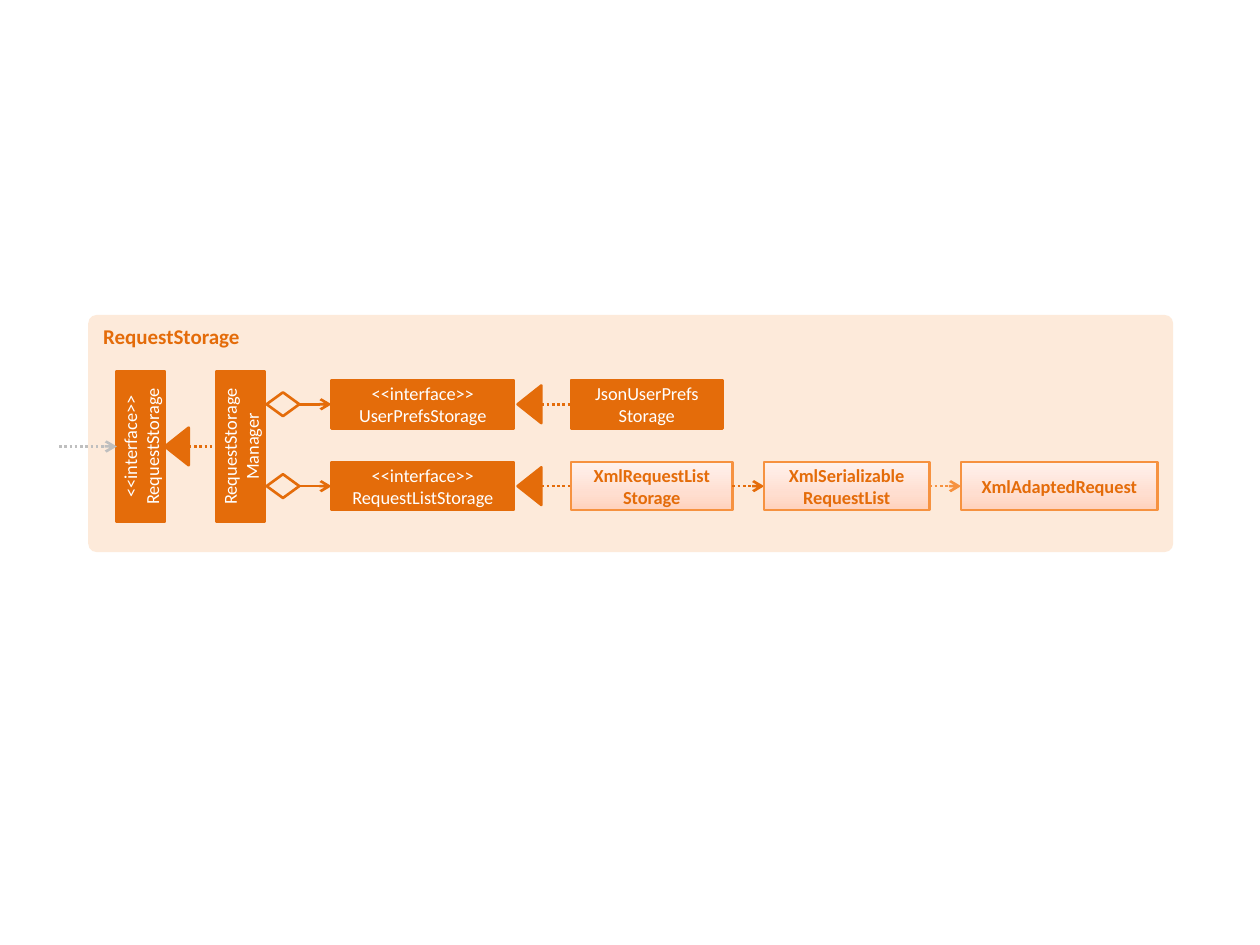
import copy
from dataclasses import dataclass

import pptx
import pptx.dml.color
import pptx.enum.dml
import pptx.enum.shapes
import pptx.enum.text
import pptx.oxml.ns
import pptx.util
from lxml import etree

Cm, Pt = pptx.util.Cm, pptx.util.Pt
Shape = pptx.enum.shapes.MSO_SHAPE
qn = pptx.oxml.ns.qn


@dataclass(frozen=True)
class Theme:
    font: str = "Calibri"
    title_size: float = 12
    label_size: float = 10.5
    line_width: float = 1.5
    panel: str = "FDEADA"
    orange: str = "E46C0A"
    light_orange: str = "F69240"
    grey: str = "BFBFBF"
    white: str = "FFFFFF"
    gradient: tuple = ((0, "FFD2BD"), (0.35, "FFDED0"), (1, "FFF2ED"))


THEME = Theme()
NODE_HEIGHT = 0.97
BAR_LENGTH = 3.05
DIAMOND_WIDTH, DIAMOND_HEIGHT = 0.66, 0.48
HEAD_BASE, HEAD_DEPTH = 0.76, 0.48
NODE_GAP = 0.64


def rgb(colour):
    return pptx.dml.color.RGBColor.from_string(colour)


def add_shape(page, kind, left, top, width, height, fill=None, line=None):
    shape = page.shapes.add_shape(kind, Cm(left), Cm(top), Cm(width), Cm(height))
    shape.shadow.inherit = False
    if fill:
        shape.fill.solid()
        shape.fill.fore_color.rgb = rgb(fill)
    else:
        shape.fill.background()
    if line:
        shape.line.color.rgb = rgb(line)
        shape.line.width = Pt(THEME.line_width)
    else:
        shape.line.fill.background()
    return shape


def write(shape, text, size, colour, bold=False, centred=True):
    """Fill a shape with text; \\v breaks a line and \\n starts a paragraph."""
    frame = shape.text_frame
    frame.word_wrap = True
    anchors, aligns = pptx.enum.text.MSO_ANCHOR, pptx.enum.text.PP_ALIGN
    frame.vertical_anchor = anchors.MIDDLE if centred else anchors.TOP
    frame.text = text
    for para in frame.paragraphs:
        para.alignment = aligns.CENTER if centred else aligns.LEFT
        para.font.name = THEME.font
        para.font.size = Pt(size)
        para.font.bold = bold
        para.font.color.rgb = rgb(colour)


def apply_gradient(shape):
    shape.fill.gradient()
    shape.fill.gradient_angle = 90
    stop_list = shape._element.spPr.find(".//" + qn("a:gsLst"))
    stop_list.insert(1, copy.deepcopy(stop_list[0]))
    for stop, (position, colour) in zip(shape.fill.gradient_stops, THEME.gradient):
        stop.position = position
        stop.color.rgb = rgb(colour)


def add_line(page, start, end, y, colour=THEME.orange, dotted=True, arrow=True):
    line = page.shapes.add_connector(
        pptx.enum.shapes.MSO_CONNECTOR.STRAIGHT, Cm(start), Cm(y), Cm(end), Cm(y))
    line.line.color.rgb = rgb(colour)
    line.line.width = Pt(THEME.line_width)
    if dotted:
        line.line.dash_style = pptx.enum.dml.MSO_LINE.ROUND_DOT
    if arrow:
        etree.SubElement(line.line._get_or_add_ln(), qn("a:tailEnd"), type="arrow")
    etree.SubElement(line._element.spPr, qn("a:effectLst"))


def add_node(page, left, y, width, text, highlighted=False):
    """Place a class box centred on height y and return its right edge."""
    border = THEME.light_orange if highlighted else THEME.orange
    node = add_shape(page, Shape.RECTANGLE, left, y - NODE_HEIGHT / 2,
                     width, NODE_HEIGHT, THEME.orange, border)
    if highlighted:
        apply_gradient(node)
    write(node, text, THEME.label_size,
          THEME.orange if highlighted else THEME.white, bold=highlighted)
    return left + width


def add_bar(page, centre, y, text):
    """Place an upright class box and return its left and right edges."""
    bar = add_shape(page, Shape.RECTANGLE, centre - BAR_LENGTH / 2, y - NODE_HEIGHT / 2,
                    BAR_LENGTH, NODE_HEIGHT, THEME.orange, THEME.orange)
    bar.rotation = 270
    write(bar, text, THEME.label_size, THEME.white)
    return centre - NODE_HEIGHT / 2, centre + NODE_HEIGHT / 2


def add_inheritance(page, tip, end, y):
    """Draw a left-pointing triangle at tip, with a dotted line on to end."""
    head = add_shape(page, Shape.ISOSCELES_TRIANGLE,
                     tip + HEAD_DEPTH / 2 - HEAD_BASE / 2, y - HEAD_DEPTH / 2,
                     HEAD_BASE, HEAD_DEPTH, THEME.orange, THEME.orange)
    head.rotation = 270
    add_line(page, tip + HEAD_DEPTH, end, y, arrow=False)


def add_panel(page, left, top, width, height):
    panel = add_shape(page, Shape.ROUNDED_RECTANGLE, left, top, width, height, THEME.panel)
    panel.adjustments[0] = 0.035
    write(panel, "RequestStorage", THEME.title_size, THEME.orange, bold=True, centred=False)


def add_manager(page, left, y):
    """Draw the storage interface and its manager; return the manager's right edge."""
    interface_left, interface_right = add_bar(
        page, left + 1.06, y, "<<interface>>\nRequestStorage")
    manager_left, manager_right = add_bar(page, left + 3.07, y, "RequestStorageManager")
    add_line(page, left - 0.59, interface_left, y, THEME.grey)
    add_inheritance(page, interface_right, manager_left, y)
    return manager_right


def add_storage_row(page, left, y, interface, implementation, width, highlighted=False):
    """Draw one storage owned by the manager; return its implementation's right edge."""
    add_shape(page, Shape.FLOWCHART_DECISION, left, y - DIAMOND_HEIGHT / 2,
              DIAMOND_WIDTH, DIAMOND_HEIGHT, line=THEME.orange)
    interface_left = left + 1.31
    add_line(page, left + DIAMOND_WIDTH, interface_left, y, dotted=False)
    interface_right = add_node(page, interface_left, y, 3.68, "<<interface>>\v" + interface)
    implementation_left = interface_right + 1.15
    add_inheritance(page, interface_right + 0.07, implementation_left, y)
    return add_node(page, implementation_left, y, width, implementation, highlighted)


def add_xml_chain(page, right, y):
    """Continue a row with the XML classes it depends on."""
    chain = (("XmlSerializable\vRequestList", 3.33, THEME.orange),
             ("XmlAdaptedRequest", 3.96, THEME.light_orange))
    for text, width, colour in chain:
        add_line(page, right, right + NODE_GAP, y, colour)
        right = add_node(page, right + NODE_GAP, y, width, text, highlighted=True)


def add_storage_diagram(page, left, top, width, height):
    add_panel(page, left, top, width, height)
    rows_left = add_manager(page, left, top + 2.65) + 0.04
    add_storage_row(page, rows_left, top + 1.8,
                    "UserPrefsStorage", "JsonUserPrefs\vStorage", 3.05)
    xml_y = top + 3.45
    right = add_storage_row(page, rows_left, xml_y, "RequestListStorage",
                            "XmlRequestList\vStorage", 3.25, highlighted=True)
    add_xml_chain(page, right, xml_y)


def main():
    deck = pptx.Presentation()
    deck.slide_width, deck.slide_height = Cm(25.4), Cm(19.05)
    page = deck.slides.add_slide(deck.slide_layouts[6])
    add_storage_diagram(page, left=1.78, top=6.35, width=21.87, height=4.78)
    deck.save("out.pptx")


if __name__ == "__main__":
    main()
